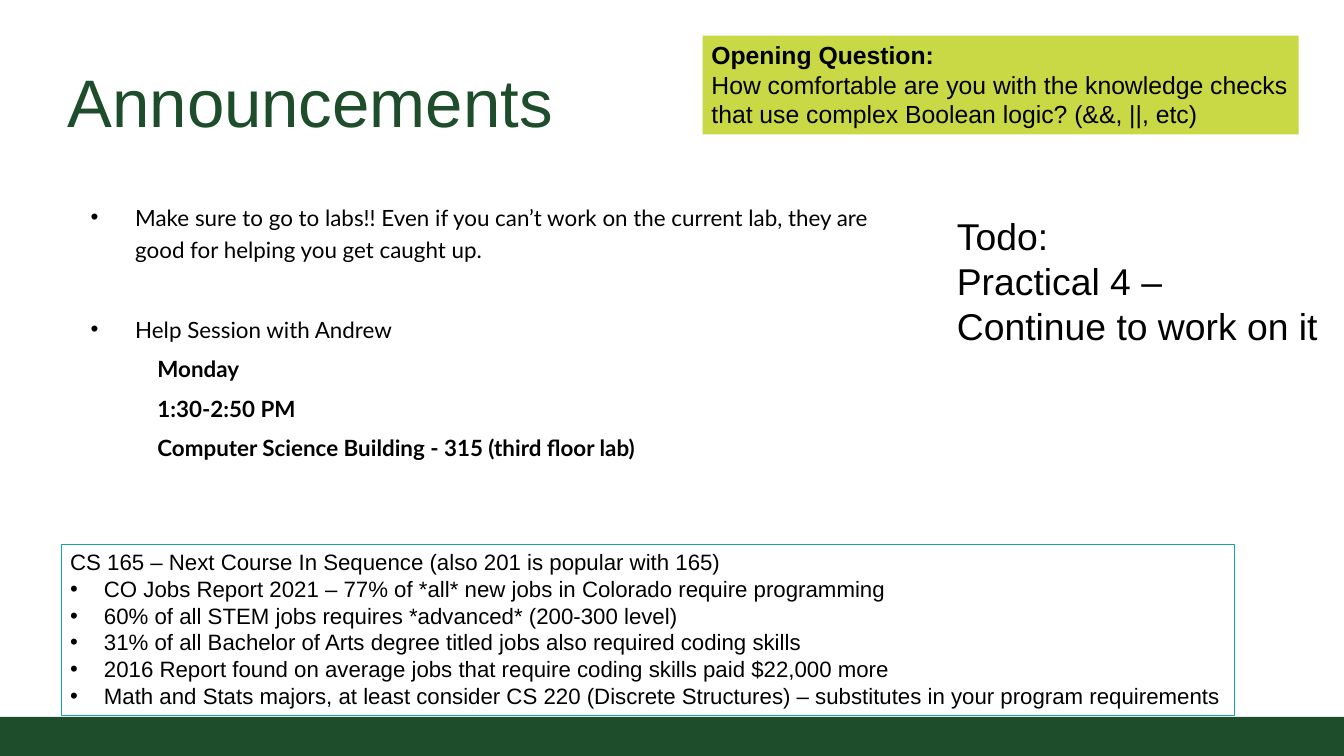
"""Build the course announcements slide."""
from pptx import Presentation
from pptx.dml.color import RGBColor
from pptx.enum.shapes import MSO_SHAPE as Kind
from pptx.enum.text import MSO_ANCHOR as Anchor, MSO_AUTO_SIZE as Fit
from pptx.oxml.ns import qn
from pptx.util import Inches, Pt
from lxml.etree import SubElement

GREEN = RGBColor(0x1E, 0x4D, 0x2B)
LIME = RGBColor(0xC9, 0xD8, 0x45)
TEAL = RGBColor(0x12, 0xA3, 0xB6)
BLACK = RGBColor(0, 0, 0)

deck = Presentation()
deck.slide_width, deck.slide_height = Inches(15.11), Inches(8.5)
slide = deck.slides.add_slide(deck.slide_layouts[6])


def add_box(left, top, width, height, fit=Fit.SHAPE_TO_FIT_TEXT):
    box = slide.shapes.add_textbox(Inches(left), Inches(top), Inches(width), Inches(height))
    frame = box.text_frame
    frame.word_wrap = True
    frame.auto_size = fit
    if fit == Fit.NONE:
        frame.margin_left = frame.margin_right = Inches(0.07)
        frame.margin_top = frame.margin_bottom = Inches(0.07)
    return box


def add_line(box, text, size, font="Arial", color=BLACK, bold=False, left=0, hang=0):
    frame = box.text_frame
    para = frame.paragraphs[0]
    if para.runs:
        para = frame.add_paragraph()
    run = para.add_run()
    run.text = text
    run.font.size, run.font.name, run.font.bold = Pt(size), font, bold
    run.font.color.rgb = color
    props = para._p.get_or_add_pPr()
    props.set("marL", str(Inches(left)))
    props.set("indent", str(Inches(-hang)))
    if hang:
        SubElement(props, qn("a:buFont")).set("typeface", "Arial")
        SubElement(props, qn("a:buChar")).set("char", "•")
    return para


bar = slide.shapes.add_shape(Kind.RECTANGLE, 0, Inches(8.06), deck.slide_width, Inches(0.44))
bar.shadow.inherit = False
bar.fill.solid()
bar.fill.fore_color.rgb = GREEN
bar.line.fill.background()

title = add_box(0.69, 0.66, 6.17, 1, Fit.NONE)
title.text_frame.vertical_anchor = Anchor.BOTTOM
add_line(title, "Announcements", 54.4, color=GREEN)

body = add_box(0.69, 1.8, 9.67, 2.91, Fit.NONE)
body.text_frame.margin_top = Inches(0.43)
news = [
    ("Make sure to go to labs!! Even if you can’t work on the current lab, they are "
     "good for helping you get caught up.", True, 0),
    ("Help Session with Andrew", True, 38.5),
    ("Monday", False, 6),
    ("1:30-2:50 PM", False, 6),
    ("Computer Science Building - 315 (third floor lab)", False, 6),
]
for text, dot, gap in news:
    left, hang = (0.76, 0.5) if dot else (1.01, 0)
    para = add_line(body, text, 18.1, "Lato", bold=not dot, left=left, hang=hang)
    para.line_spacing = 1.2
    para.space_before = Pt(gap)

todo = add_box(10.66, 2.35, 4.26, 1.63)
for text in ("Todo:", "Practical 4 – Continue to work on it"):
    add_line(todo, text, 30.2)

quiz = add_box(7.9, 0.4, 6.7, 1.11)
quiz.fill.solid()
quiz.fill.fore_color.rgb = LIME
add_line(quiz, "Opening Question:", 20, bold=True)
add_line(quiz, "How comfortable are you with the knowledge checks that use complex "
         "Boolean logic? (&&, ||, etc)", 20)

jobs = add_box(0.69, 6.12, 13.19, 1.92)
jobs.line.color.rgb = TEAL
jobs.line.width = Pt(0.75)
add_line(jobs, "CS 165 – Next Course In Sequence (also 201 is popular with 165)", 18)
facts = [
    "CO Jobs Report 2021 – 77% of *all* new jobs in Colorado require programming",
    "60% of all STEM jobs requires *advanced* (200-300 level)",
    "31% of all Bachelor of Arts degree titled jobs also required coding skills",
    "2016 Report found on average jobs that require coding skills paid $22,000 more",
    "Math and Stats majors, at least consider CS 220 (Discrete Structures) – "
    "substitutes in your program requirements",
]
for fact in facts:
    add_line(jobs, fact, 18, left=0.38, hang=0.38)

deck.save("out.pptx")
